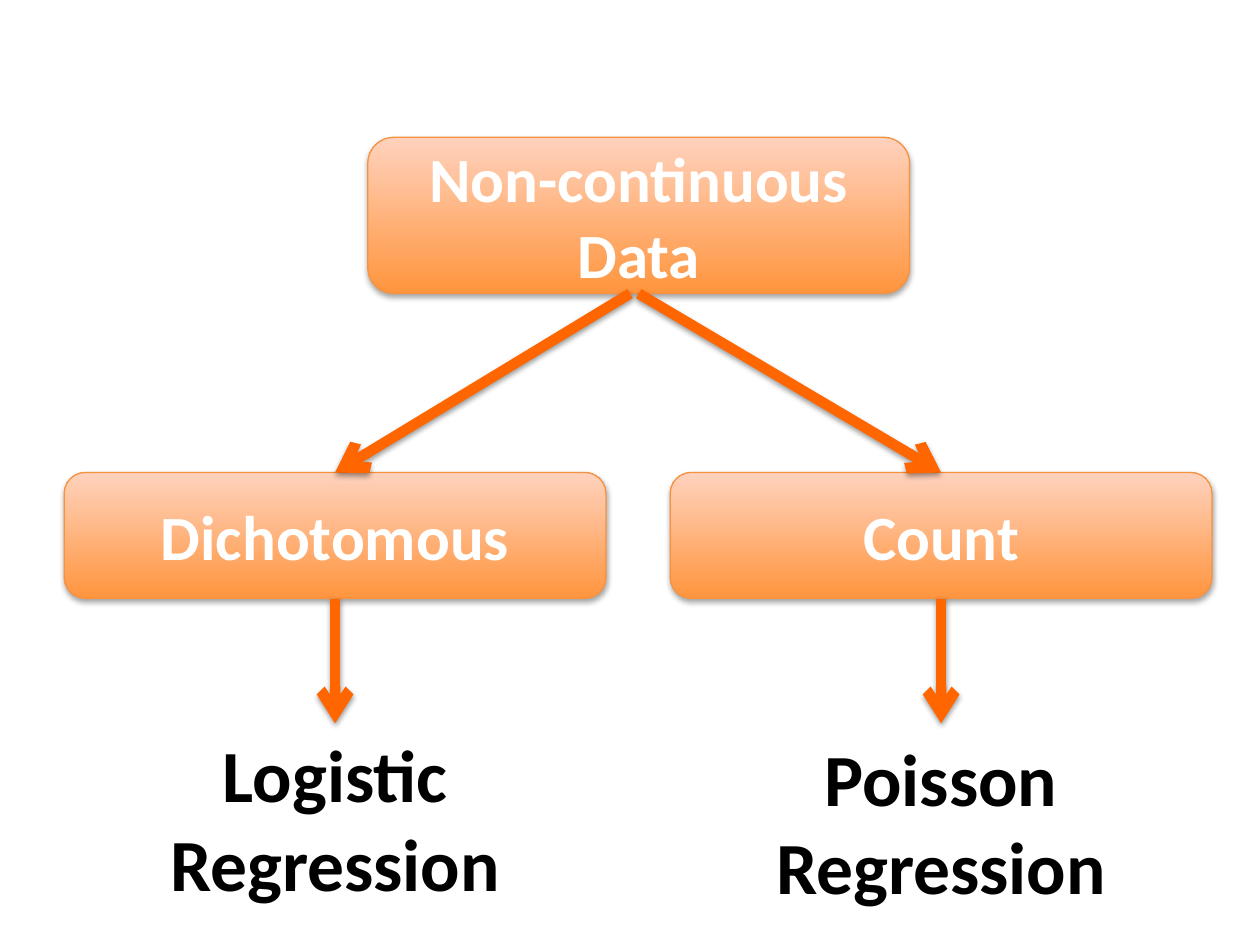
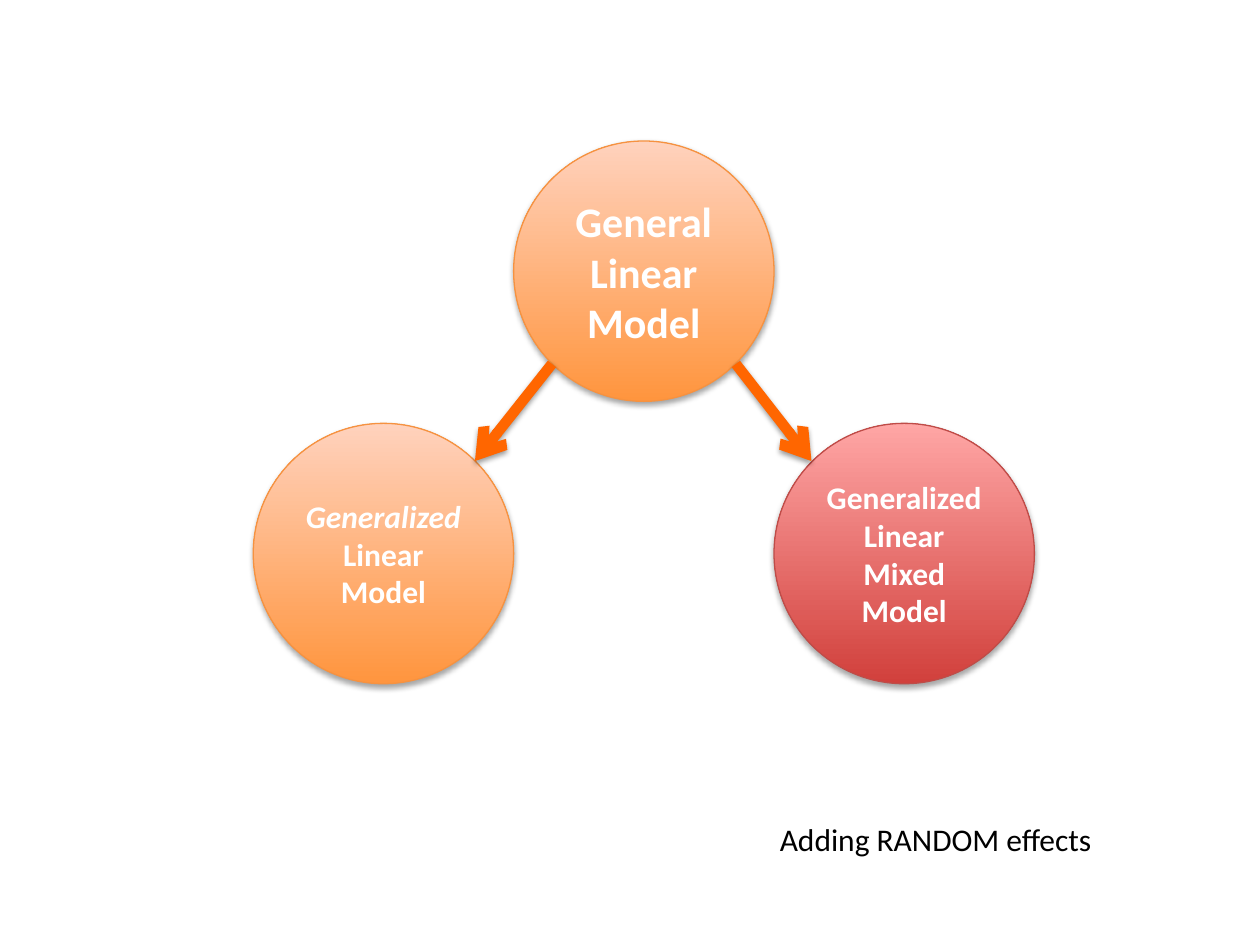
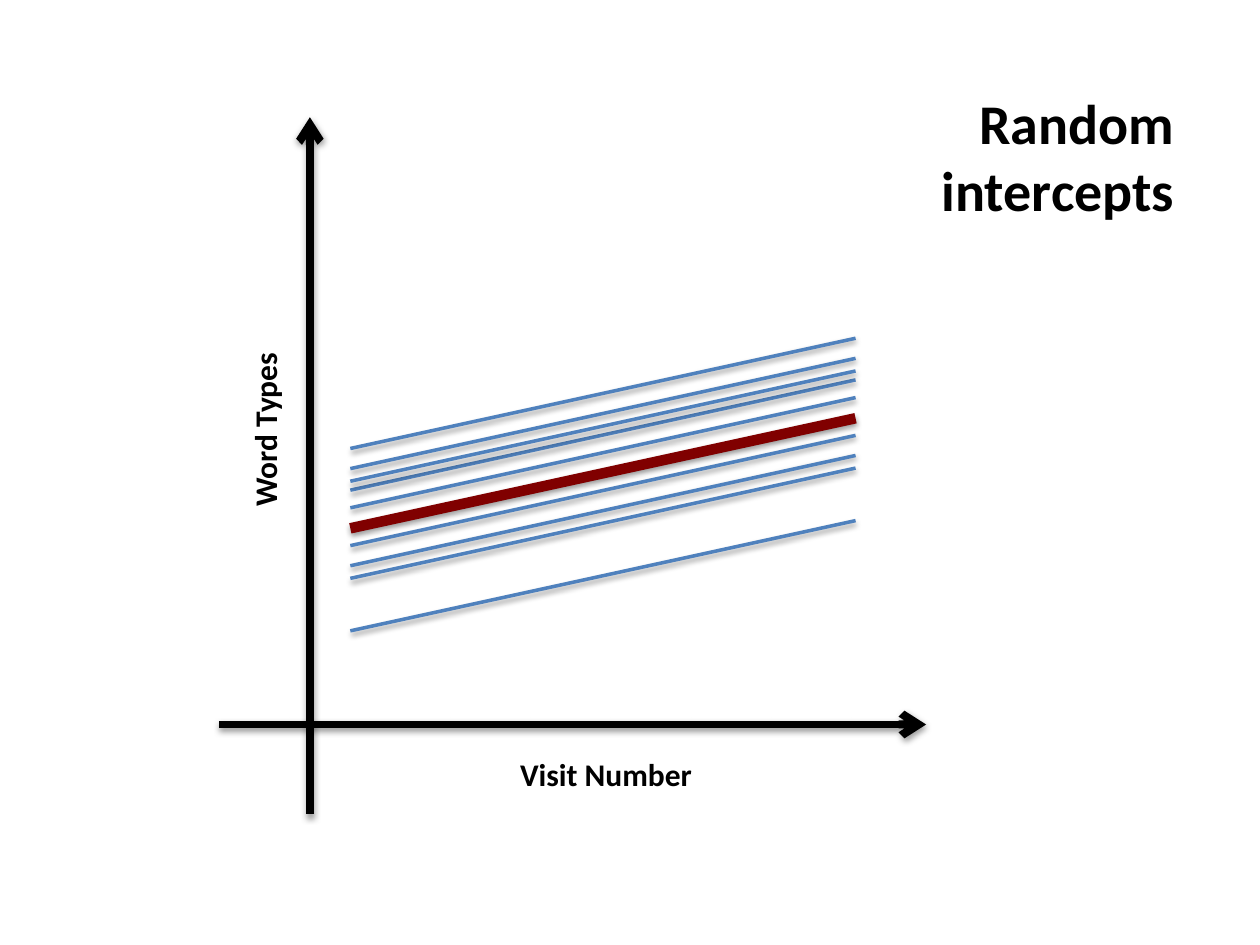
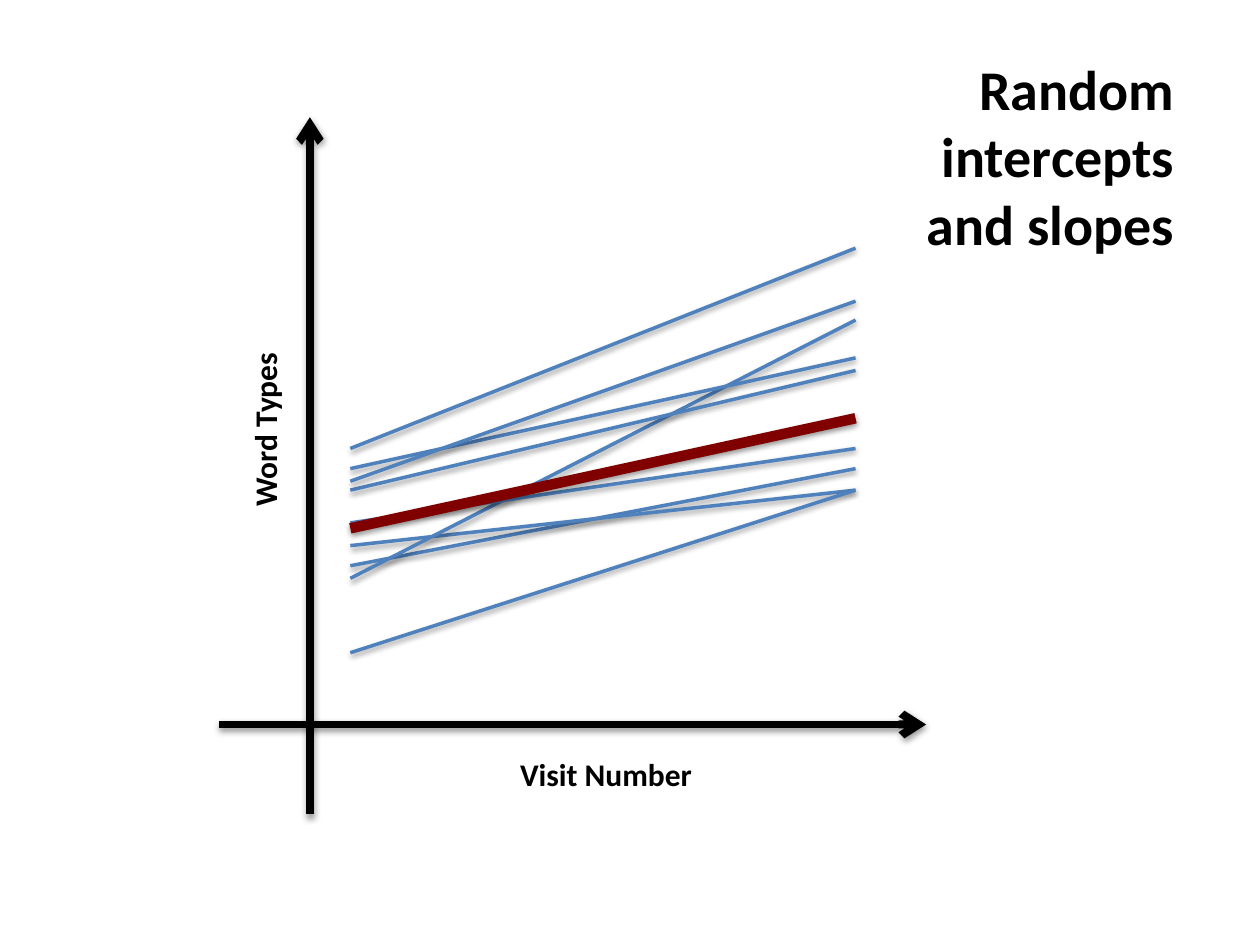
"""Build four slides on regression models and random effects."""
from dataclasses import dataclass

from lxml import etree
from pptx import Presentation
from pptx.dml.color import RGBColor
from pptx.enum.shapes import MSO_CONNECTOR, MSO_SHAPE
from pptx.enum.text import MSO_ANCHOR, MSO_AUTO_SIZE, PP_ALIGN
from pptx.oxml.ns import qn
from pptx.util import Pt

ROUND, OVAL = MSO_SHAPE.ROUNDED_RECTANGLE, MSO_SHAPE.OVAL
STRAIGHT = MSO_CONNECTOR.STRAIGHT
TOP, MIDDLE = MSO_ANCHOR.TOP, MSO_ANCHOR.MIDDLE
LEFT, CENTER, RIGHT = PP_ALIGN.LEFT, PP_ALIGN.CENTER, PP_ALIGN.RIGHT
GROW, FIXED = MSO_AUTO_SIZE.SHAPE_TO_FIT_TEXT, MSO_AUTO_SIZE.NONE


@dataclass(frozen=True)
class Tone:
    """Gradient ends and edge colour of a node."""
    low: str
    high: str
    edge: str


@dataclass(frozen=True)
class Theme:
    """Colours, font and type sizes of the deck."""
    font: str = "Calibri"
    white: str = "FFFFFF"
    black: str = "000000"
    arrow: str = "FF6600"
    mean: str = "800000"
    trend: str = "4F81BD"
    orange: Tone = Tone("FF953E", "FFD2BD", "F69240")
    red: Tone = Tone("D1403C", "FFA6A5", "BF4C48")
    method: float = 42
    box: float = 36
    title: float = 32
    ball: float = 24
    note: float = 18


@dataclass(frozen=True)
class Area:
    """Place and size in points."""
    x: float
    y: float
    w: float
    h: float

    def frame(self) -> tuple:
        """Give left, top, width and height as lengths."""
        return Pt(self.x), Pt(self.y), Pt(self.w), Pt(self.h)


@dataclass(frozen=True)
class Para:
    """Paragraph whose newlines become line breaks."""
    text: str
    slant: bool = False


@dataclass(frozen=True)
class Style:
    """Look of a block of text."""
    size: float
    color: str = Theme.black
    bold: bool = True
    align: PP_ALIGN = CENTER
    anchor: MSO_ANCHOR = TOP
    fit: MSO_AUTO_SIZE = GROW
    wrap: bool = True
    turn: float = 0


@dataclass(frozen=True)
class Stroke:
    """Look of a line."""
    color: str
    width: float
    head: bool = False


THEME = Theme()
ARROW = Stroke(THEME.arrow, 6, True)
AXIS = Stroke(THEME.black, 4.5, True)
MEAN = Stroke(THEME.mean, 6)
TREND = Stroke(THEME.trend, 2)
LABEL = Style(THEME.note)
TITLE = Style(THEME.title, align=RIGHT, anchor=MIDDLE, fit=FIXED)
START, END = 200.2, 488.9
RISE = 63


def rgb(code: str) -> RGBColor:
    """Turn a hex code into a colour."""
    return RGBColor.from_string(code)


def shade(item, alpha: int, gap: float) -> None:
    """Put a soft shadow below an item."""
    group = etree.SubElement(item.element.spPr, qn("a:effectLst"))
    cast = etree.SubElement(group, qn("a:outerShdw"), blurRad=str(Pt(3.15)),
                            dist=str(Pt(gap)), dir="5400000", rotWithShape="0")
    color = etree.SubElement(cast, qn("a:srgbClr"), val=THEME.black)
    etree.SubElement(color, qn("a:alpha"), val=str(alpha * 1000))


def write(item, paras: tuple[Para, ...], style: Style) -> None:
    """Fill an item with styled paragraphs."""
    frame = item.text_frame
    frame.word_wrap = style.wrap
    frame.auto_size = style.fit
    frame.vertical_anchor = style.anchor
    for index, para in enumerate(paras):
        block = frame.add_paragraph() if index else frame.paragraphs[0]
        block.alignment = style.align
        for row, line in enumerate(para.text.split("\n")):
            if row:
                block.add_line_break()
            run = block.add_run()
            run.text = line
            font = run.font
            font.name, font.size = THEME.font, Pt(style.size)
            font.bold, font.italic = style.bold, para.slant
            font.color.rgb = rgb(style.color)


def node(slide, kind: MSO_SHAPE, area: Area, size: float,
         *paras: Para, tone: Tone = THEME.orange) -> None:
    """Draw a gradient shape with white text."""
    item = slide.shapes.add_shape(kind, *area.frame())
    item.fill.gradient()
    item.fill.gradient_angle = 90
    for stop, code in zip(item.fill.gradient_stops, (tone.low, tone.high)):
        stop.color.rgb = rgb(code)
    item.line.color.rgb = rgb(tone.edge)
    item.line.width = Pt(0.75)
    shade(item, 35, 1.81)
    write(item, paras, Style(size, THEME.white, anchor=MIDDLE, fit=FIXED))


def label(slide, area: Area, text: str, style: Style) -> None:
    """Draw a plain text box."""
    item = slide.shapes.add_textbox(*area.frame())
    item.rotation = style.turn
    write(item, (Para(text),), style)


def link(slide, x: float, y: float, to_x: float, to_y: float,
         stroke: Stroke) -> None:
    """Draw a straight line, with an arrowhead if asked."""
    item = slide.shapes.add_connector(STRAIGHT, Pt(x), Pt(y), Pt(to_x), Pt(to_y))
    item.line.color.rgb = rgb(stroke.color)
    item.line.width = Pt(stroke.width)
    if stroke.head:
        etree.SubElement(item.element.spPr.find(qn("a:ln")),
                         qn("a:tailEnd"), type="arrow")
    shade(item, 38, 1.57)


def tree(slide) -> None:
    """Draw the choice of method by type of data."""
    wide, left, right, row = 309.6, 36.7, 383, 270
    base, foot, tip = 167.8, 342, 413.3
    node(slide, ROUND, Area(210.2, 78.5, wide, 89.3), THEME.box,
         Para("Non-continuous Data"))
    for x, name in ((left, "Dichotomous"), (right, "Count")):
        node(slide, ROUND, Area(x, row, wide, 72), THEME.box, Para(name))
    for x, goal in ((360, left), (365, right)):
        mid = goal + wide / 2
        link(slide, x, base, mid, row, ARROW)
        link(slide, mid, foot, mid, tip, ARROW)
    style = Style(THEME.method)
    label(slide, Area(left, tip, wide, 108.7), "Logistic Regression", style)
    label(slide, Area(right, 415.4, wide, 108.7), "Poisson\nRegression", style)


def models(slide) -> None:
    """Draw the family of linear models."""
    size, left, top, low = 148.8, 144.7, 80.6, 241.9
    node(slide, OVAL, Area(left + size, top, size, size), THEME.ball,
         Para("General"), Para("Linear Model"))
    node(slide, OVAL, Area(left, low, size, size), THEME.note,
         Para("Generalized", True), Para("Linear Model"))
    node(slide, OVAL, Area(left + 2 * size, low, size, size), THEME.note,
         Para("Generalized\nLinear\nMixed Model"), tone=THEME.red)
    for x, goal in ((315.4, 271.4), (420.5, 463.7)):
        link(slide, x, 208, goal, 263.5, ARROW)
    label(slide, Area(438.5, 465.1, 195.1, 28.8), "Adding RANDOM effects",
          Style(THEME.note, bold=False, align=LEFT, wrap=False))


def graph(slide, title: str, trends: list[tuple[float, float]]) -> None:
    """Draw axes, trend lines and their mean."""
    link(slide, 125.3, 414, 529.2, 414, AXIS)
    link(slide, 177.1, 465.1, 177.1, 67, AXIS)
    label(slide, Area(188.6, 427.7, 315.4, 28.8), "Visit Number", LABEL)
    label(slide, Area(-6.5, 231.1, 315.4, 28.8), "Word Types",
          Style(THEME.note, turn=270))
    label(slide, Area(309.6, 43.9, 368.6, 90), title, TITLE)
    for first, last in trends:
        link(slide, START, first, END, last, TREND)
    link(slide, START, 301.9, END, 239, MEAN)


def main() -> None:
    """Build and save the deck."""
    deck = Presentation()
    deck.slide_width, deck.slide_height = Pt(720), Pt(540)
    blank = deck.slide_layouts[6]
    tree(deck.slides.add_slide(blank))
    models(deck.slides.add_slide(blank))
    starts = (323.3, 311.8, 330.5, 360.5, 267.8, 256.3, 280.1, 275, 290.2)
    graph(deck.slides.add_slide(blank), "Random\nintercepts",
          [(y, y - RISE) for y in starts])
    graph(deck.slides.add_slide(blank), "Random\nintercepts\nand slopes",
          [(323.3, 267.8), (311.8, 280.1), (330.5, 182.9),
           (373, 280.1), (267.8, 204.5), (256.3, 141.8),
           (280.1, 211.7), (275, 172.1), (298.8, 256.3)])
    deck.save("out.pptx")


main()
